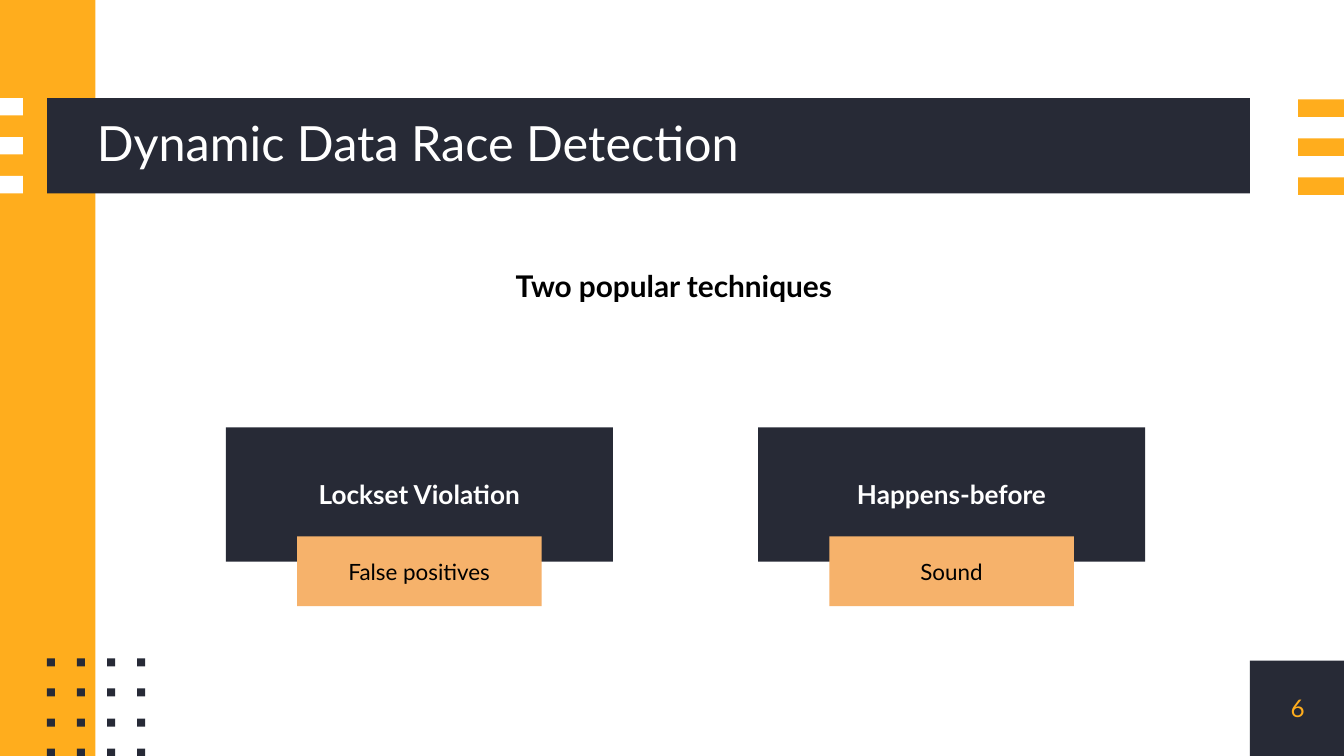
from pptx import Presentation
from pptx.dml.color import RGBColor
from pptx.enum.shapes import MSO_SHAPE
from pptx.enum.text import MSO_ANCHOR, PP_ALIGN
from pptx.util import Inches, Pt

RECT = MSO_SHAPE.RECTANGLE
LEFT, CENTER = PP_ALIGN.LEFT, PP_ALIGN.CENTER
TOP, MIDDLE = MSO_ANCHOR.TOP, MSO_ANCHOR.MIDDLE

# Content
TITLE = "Dynamic Data Race Detection"
SUBTITLE = "Two popular techniques"
TECHNIQUES = [("Lockset Violation", "False positives"), ("Happens-before", "Sound")]
PAGE_NUMBER = "6"

# Style
FONT = "Lato"
COLORS = {"dark": "272A36", "yellow": "FFAD1D", "orange": "F6B26B",
          "white": "FFFFFF", "black": "000000"}

# Layout, in inches
WIDTH = 10
HEIGHT = WIDTH * 9 / 16
UNIT = 0.71                        # side band, title bar and number square
BAR_LEFT, BAR_TOP = 0.35, 0.73
BAR_RIGHT = 9.3
TITLE_LEFT = 0.72
STRIPES, STRIPE_HEIGHT = 3, 0.13
STRIPE_PITCH = (UNIT - STRIPE_HEIGHT) / (STRIPES - 1)
DOTS, DOT_TOP, DOT_SIZE = 4, 4.9, 0.06
DOT_PITCH = 0.67 / (DOTS - 1)
CARD_LEFT, CARD_TOP, CARD_PITCH = 1.68, 3.18, 3.96
CARD_WIDTH, CARD_HEIGHT = 2.88, 1
TAG_TOP, TAG_WIDTH, TAG_HEIGHT = 3.99, 1.82, 0.52

deck = Presentation()
deck.slide_width, deck.slide_height = Inches(WIDTH), Inches(HEIGHT)
page = deck.slides.add_slide(deck.slide_layouts[6])


def add_rect(left, top, width, height, fill):
    box = page.shapes.add_shape(RECT, *map(Inches, (left, top, width, height)))
    box.shadow.inherit = False
    box.fill.solid()
    box.fill.fore_color.rgb = RGBColor.from_string(COLORS[fill])
    box.line.fill.background()
    return box


def add_text_box(left, top, width, height):
    return page.shapes.add_textbox(*map(Inches, (left, top, width, height)))


def write(box, text, size, color, bold=False, align=CENTER, anchor=MIDDLE, inset=0.1):
    frame = box.text_frame
    frame.text = text
    frame.word_wrap = True
    frame.vertical_anchor = anchor
    frame.margin_left = frame.margin_right = Inches(inset)
    frame.margin_top = frame.margin_bottom = Inches(inset)
    para = frame.paragraphs[0]
    para.alignment = align
    font = para.runs[0].font
    font.name, font.size, font.bold = FONT, Pt(size), bold
    font.color.rgb = RGBColor.from_string(COLORS[color])
    return para


# Side band, title bar and page number
add_rect(BAR_RIGHT, HEIGHT - UNIT, UNIT, UNIT, "dark")
add_rect(0, 0, UNIT, HEIGHT, "yellow")
add_rect(BAR_LEFT, BAR_TOP, BAR_RIGHT - BAR_LEFT, UNIT, "dark")

# Stripes at both edges
for left, top, width, fill in [(0, BAR_TOP, 0.17, "white"),
                               (9.66, 0.74, 0.34, "yellow")]:
    for row in range(STRIPES):
        add_rect(left, top + row * STRIPE_PITCH, width, STRIPE_HEIGHT, fill)

# Dot grid
for row in range(DOTS):
    for column in range(DOTS):
        add_rect(BAR_LEFT + column * DOT_PITCH, DOT_TOP + row * DOT_PITCH,
                 DOT_SIZE, DOT_SIZE, "dark")

# Title, page number and subtitle
title_box = add_text_box(TITLE_LEFT, BAR_TOP, BAR_RIGHT - TITLE_LEFT, UNIT)
write(title_box, TITLE, 26, "white", align=LEFT, inset=0).line_spacing = 0.9
number_box = add_text_box(BAR_RIGHT, HEIGHT - UNIT, UNIT, UNIT)
write(number_box, PAGE_NUMBER, 13, "yellow", inset=0)
subtitle_box = add_text_box(3.45, 1.89, 3.13, 0.84)
write(subtitle_box, SUBTITLE, 16, "black", bold=True, anchor=TOP)

# Technique cards, each with a tag centred on its lower edge
for index, (name, trait) in enumerate(TECHNIQUES):
    left = CARD_LEFT + index * CARD_PITCH
    card = add_rect(left, CARD_TOP, CARD_WIDTH, CARD_HEIGHT, "dark")
    write(card, name, 14, "white", bold=True)
    tag_left = left + (CARD_WIDTH - TAG_WIDTH) / 2
    tag = add_rect(tag_left, TAG_TOP, TAG_WIDTH, TAG_HEIGHT, "orange")
    write(tag, trait, 12, "black")

deck.save("out.pptx")
